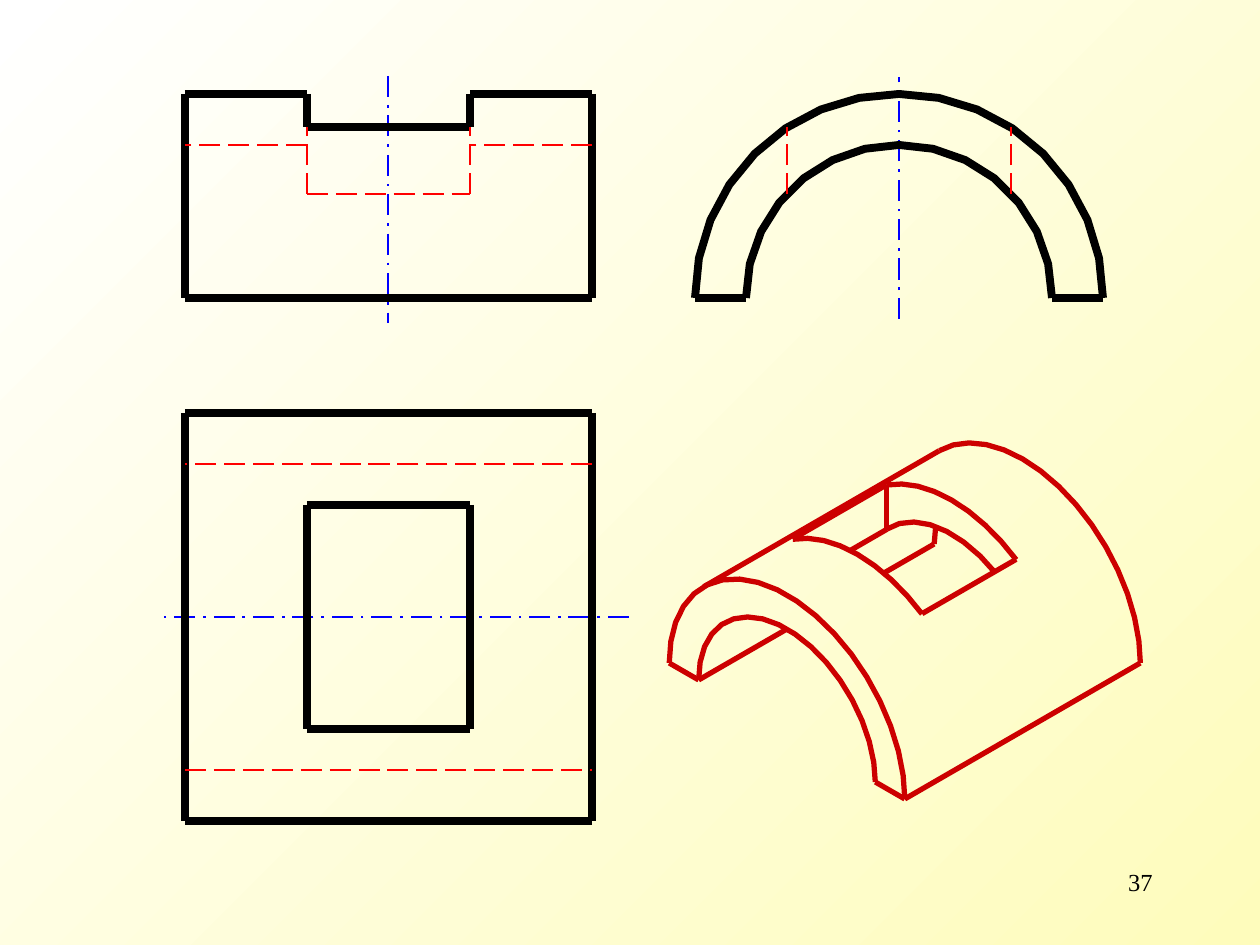
"""Builds a slide with three orthographic views and an isometric view of a slotted half tube."""
from itertools import pairwise
from math import acos, cos, degrees, pi, radians, sin, sqrt

from lxml import etree
from pptx import Presentation
from pptx.dml.color import RGBColor
from pptx.enum.dml import MSO_LINE
from pptx.enum.shapes import MSO_CONNECTOR
from pptx.enum.text import PP_ALIGN
from pptx.oxml.ns import qn
from pptx.util import Pt

STRAIGHT = MSO_CONNECTOR.STRAIGHT
LONG_DASH, DASH_DOT = MSO_LINE.LONG_DASH, MSO_LINE.LONG_DASH_DOT
RIGHT = PP_ALIGN.RIGHT
PX = 914400 / 126

THEME = {
    "background": ("FEFCBC", "FFFFFF"),
    "outline": {"color": "000000", "width": Pt(4.5)},
    "hidden": {"color": "FF0000", "width": Pt(1.5), "dash_style": LONG_DASH},
    "axis": {"color": "0000FF", "width": Pt(1.5), "dash_style": DASH_DOT},
    "solid": {"color": "CC0000", "width": Pt(3)},
    "number": {"name": "Times New Roman", "size": Pt(14), "color": "000000"},
}
PAGE_NUMBER = {"text": "37", "box": (903, 861, 262, 63)}

OUTER, INNER, LENGTH, SLOT = 204, 153, 408, 112
SLOT_START, SLOT_END = 122, 285
SLOT_TOP = round(sqrt(OUTER**2 - SLOT**2))
SLOT_FLOOR = round(sqrt(INNER**2 - SLOT**2))
LEFT, BASE, SIDE_X, PLAN_Y = 185, 298, 899, 617
ISO_X, ISO_Y, ISO_SCALE = 787, 731, 2 / 3

right, mid = LEFT + LENGTH - 1, LEFT + LENGTH // 2 - 1
slot_left, slot_right = LEFT + SLOT_START, LEFT + SLOT_END
top, slot_top = BASE - OUTER, BASE - SLOT_TOP
inner_top, slot_floor = BASE - INNER, BASE - SLOT_FLOOR


def arc(radius, steps, start=0, end=180):
    """Return (across, height) points along a circular arc, angles in degrees."""
    angles = [radians(start + (end - start) * k / steps) for k in range(steps + 1)]
    return [(radius * cos(a), radius * sin(a)) for a in angles]


def side(points):
    """Place (across, height) points in the side view."""
    return [(SIDE_X + across, BASE - height) for across, height in points]


def iso(*points):
    """Project (along, across, height) points to the isometric view."""
    return [
        (ISO_X + (along + across) * cos(pi / 6) * ISO_SCALE,
         ISO_Y + ((across - along) / 2 - height) * ISO_SCALE)
        for along, across, height in points
    ]


def iso_arc(along, *arc_values):
    return iso(*((along, across, height) for across, height in arc(*arc_values)))


def frame(x1, y1, x2, y2):
    return list(pairwise([(x1, y1), (x2, y1), (x2, y2), (x1, y2), (x1, y1)]))


front_outline = pairwise([
    (LEFT, top), (slot_left, top), (slot_left, slot_top), (slot_right, slot_top),
    (slot_right, top), (right, top), (right, BASE), (LEFT, BASE), (LEFT, top),
])
VIEWS = {
    "axis": [
        [(629, PLAN_Y), (164, PLAN_Y)],
        [(mid, 76), (mid, 323)],
        [(SIDE_X, 319), (SIDE_X, 77)],
    ],
    "outline": [
        *front_outline,
        side(arc(OUTER, 16)),
        side(arc(INNER, 14)),
        *(side([(sign * OUTER, 0), (sign * INNER, 0)]) for sign in (-1, 1)),
        *frame(LEFT, PLAN_Y - OUTER, right, PLAN_Y + OUTER),
        *frame(slot_left, PLAN_Y - SLOT, slot_right, PLAN_Y + SLOT),
    ],
    "hidden": [
        *([(x, slot_floor), (x, slot_top)] for x in (slot_left, slot_right)),
        [(slot_left, slot_floor), (slot_right, slot_floor)],
        [(slot_left, inner_top), (LEFT, inner_top)],
        [(right, inner_top), (slot_right, inner_top)],
        *(side([(x, SLOT_FLOOR), (x, SLOT_TOP)]) for x in (-SLOT, SLOT)),
        [(right, PLAN_Y - INNER), (LEFT, PLAN_Y - INNER)],
        [(LEFT, PLAN_Y + INNER), (right, PLAN_Y + INNER)],
    ],
}

slot_angle = degrees(acos(SLOT / OUTER))
floor_angle = degrees(acos(-SLOT / INNER))
crown = OUTER * sqrt(0.5)
ISOMETRIC = {
    "solid": [
        iso_arc(LENGTH, OUTER, 15, 0, 135),
        iso_arc(0, OUTER, 19),
        iso_arc(0, INNER, 17),
        *(iso_arc(along, OUTER, 8, slot_angle, 180 - slot_angle)
          for along in (SLOT_START, SLOT_END)),
        iso_arc(SLOT_END, INNER, 7, 60, floor_angle),
        iso_arc(LENGTH, INNER, 1, 169.4, 180),
        iso((0, OUTER, 0), (LENGTH, OUTER, 0)),
        iso((LENGTH, -crown, crown), (0, -crown, crown)),
        *(iso((0, sign * OUTER, 0), (0, sign * INNER, 0)) for sign in (-1, 1)),
        iso((154, -INNER, 0), (0, -INNER, 0)),
        iso((LENGTH, -INNER, 0), (322, -INNER, 0)),
        *(iso((SLOT_START, x, SLOT_TOP), (SLOT_END, x, SLOT_TOP)) for x in (-SLOT, SLOT)),
        iso((SLOT_END, -SLOT, SLOT_FLOOR), (SLOT_END, -SLOT, SLOT_TOP)),
        iso((SLOT_END, -SLOT, SLOT_FLOOR), (222, -SLOT, SLOT_FLOOR)),
    ],
}


def apply_format(target, values):
    for key, value in values.items():
        if key == "color":
            target.color.rgb = RGBColor.from_string(value)
        else:
            setattr(target, key, value)


def draw_stroke(shapes, points, style):
    points = [(round(x * PX), round(y * PX)) for x, y in points]
    if len(points) == 2:
        stroke = shapes.add_connector(STRAIGHT, *points[0], *points[1])
        etree.SubElement(stroke.line._get_or_add_ln().getparent(), qn("a:effectLst"))
    else:
        builder = shapes.build_freeform(*points[0])
        builder.add_line_segments(points[1:], close=False)
        stroke = builder.convert_to_shape()
        stroke.fill.background()
        stroke.shadow.inherit = False
    apply_format(stroke.line, THEME[style])


def draw_group(slide, strokes):
    group = slide.shapes.add_group_shape()
    for style, lines in strokes.items():
        for points in lines:
            draw_stroke(group.shapes, points, style)


def main():
    prs = Presentation()
    prs.slide_width, prs.slide_height = round(1260 * PX), round(945 * PX)
    slide = prs.slides.add_slide(prs.slide_layouts[6])
    fill = slide.background.fill
    fill.gradient()
    fill.gradient_angle = 135
    for stop, color in zip(fill.gradient_stops, THEME["background"]):
        stop.color.rgb = RGBColor.from_string(color)

    for strokes in (ISOMETRIC, VIEWS):
        draw_group(slide, strokes)

    number = slide.shapes.add_textbox(*(round(v * PX) for v in PAGE_NUMBER["box"]))
    number.text_frame.word_wrap = True
    paragraph = number.text_frame.paragraphs[0]
    paragraph.text = PAGE_NUMBER["text"]
    paragraph.alignment = RIGHT
    apply_format(paragraph.runs[0].font, THEME["number"])
    prs.save("out.pptx")


if __name__ == "__main__":
    main()
